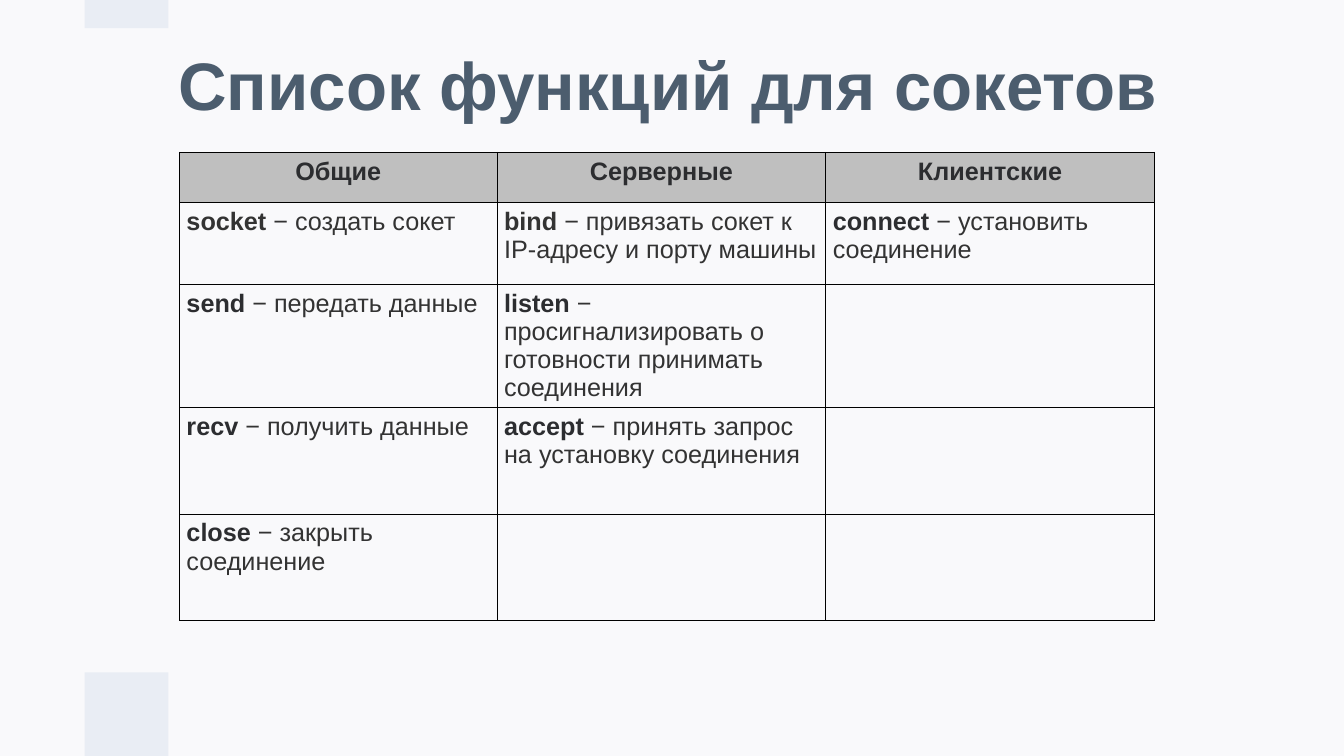
from lxml import etree
from pptx import Presentation
from pptx.dml.color import RGBColor
from pptx.enum.shapes import MSO_SHAPE
from pptx.enum.text import MSO_ANCHOR, MSO_AUTO_SIZE, PP_ALIGN
from pptx.oxml import parse_xml
from pptx.util import Inches, Pt

RECT = MSO_SHAPE.RECTANGLE
MIDDLE = MSO_ANCHOR.MIDDLE
NO_AUTOFIT = MSO_AUTO_SIZE.NONE
LEFT, CENTER = PP_ALIGN.LEFT, PP_ALIGN.CENTER

NS = "http://schemas.openxmlformats.org/drawingml/2006/main"
DARK, GREY = "2C2D30", "333333"
HEADERS = ["Общие", "Серверные", "Клиентские"]
FUNCTIONS = [
    [("socket", "создать сокет"),
     ("bind", "привязать сокет к IP-адресу и порту машины"),
     ("connect", "установить соединение")],
    [("send", "передать данные"),
     ("listen", "просигнализировать о готовности принимать соединения"),
     None],
    [("recv", "получить данные"),
     ("accept", "принять запрос на установку соединения"),
     None],
    [("close", "закрыть соединение"), None, None],
]
COL_WIDTHS = [3.15, 3.26, 3.26]
ROW_HEIGHTS = [0.5, 0.81, 1.13, 1.06, 1.06]


def set_color(target, color):
    if hasattr(target, "solid"):
        target.solid()
        target = target.fore_color
    target.rgb = RGBColor.from_string(color)


def add_run(p, text, size, color, bold):
    r = p.add_run()
    r.text = text
    r.font.name = "Arial"
    r.font.size = Pt(size)
    r.font.bold = bold
    set_color(r.font.color, color)


prs = Presentation()
prs.slide_width, prs.slide_height = Inches(13.33), Inches(7.5)
s = prs.slides.add_slide(prs.slide_layouts[5])
set_color(s.background.fill, "F9F9FB")

for top, height in [(0, 0.28), (6.67, 0.83)]:
    sp = s.shapes.add_shape(RECT, Inches(0.84), Inches(top), Inches(0.83), Inches(height))
    sp.shadow.inherit = False
    set_color(sp.fill, "E9EDF4")
    sp.line.fill.background()

title = s.shapes.title
title.left, title.top = Inches(1.67), Inches(0.06)
title.width, title.height = Inches(10.79), Inches(1.65)
tf = title.text_frame
tf.word_wrap = True
tf.auto_size = NO_AUTOFIT
tf.vertical_anchor = MIDDLE
p = tf.paragraphs[0]
p.alignment = LEFT
p.line_spacing = 0.9
add_run(p, "Список функций для сокетов", 48, "4C5D6E", True)

table = s.shapes.add_table(
    len(ROW_HEIGHTS), len(COL_WIDTHS), Inches(1.78), Inches(1.51),
    Inches(sum(COL_WIDTHS)), Inches(sum(ROW_HEIGHTS))).table
table.first_row = False
table.horz_banding = False
for col, width in zip(table.columns, COL_WIDTHS):
    col.width = Inches(width)
for row, height in zip(table.rows, ROW_HEIGHTS):
    row.height = Inches(height)

for cell in table.iter_cells():
    cell.margin_left = cell.margin_right = Inches(0.07)
    cell.margin_top = cell.margin_bottom = Inches(0.05)
    tcPr = cell._tc.get_or_add_tcPr()
    for side in ["lnL", "lnR", "lnT", "lnB"]:
        ln = parse_xml(f'<a:{side} xmlns:a="{NS}" w="{Pt(0.75)}"/>')
        fill = etree.SubElement(ln, f"{{{NS}}}solidFill")
        etree.SubElement(fill, f"{{{NS}}}srgbClr", val="000000")
        tcPr.append(ln)
    cell.fill.background()

for c, header in enumerate(HEADERS):
    cell = table.cell(0, c)
    set_color(cell.fill, "BFBFBF")
    p = cell.text_frame.paragraphs[0]
    p.alignment = CENTER
    add_run(p, header, 18, DARK, True)

for r, functions in enumerate(FUNCTIONS, start=1):
    for c, function in enumerate(functions):
        if function:
            name, purpose = function
            p = table.cell(r, c).text_frame.paragraphs[0]
            add_run(p, name + " ", 18, GREY if name in ("socket", "bind") else DARK, True)
            add_run(p, "− " + purpose, 18, GREY, False)

prs.save("out.pptx")
